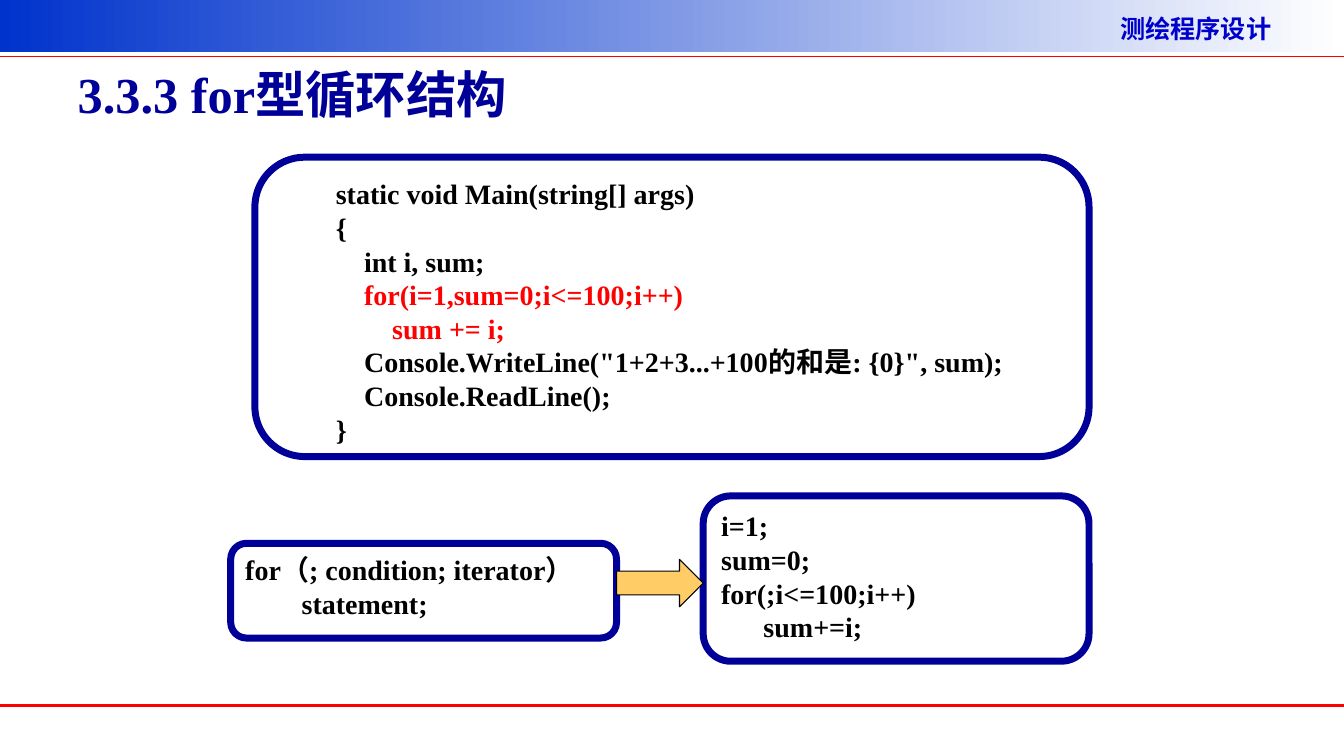
from dataclasses import dataclass

from lxml.etree import SubElement
from pptx import Presentation
from pptx.dml.color import RGBColor
from pptx.enum.shapes import MSO_CONNECTOR, MSO_SHAPE
from pptx.enum.text import MSO_ANCHOR, PP_ALIGN
from pptx.oxml.ns import qn
from pptx.util import Inches, Pt

LATIN_FONT = "Times New Roman"
ASIAN_FONT = "Noto Sans CJK SC"
NAVY, RED, BLACK = "000099", "FF0000", "000000"
SLIDE_WIDTH = 13.34
INDENT_STEP = 0.28


@dataclass(frozen=True)
class CodeLine:
    text: str
    indent: float = 0
    color: str = BLACK


@dataclass(frozen=True)
class CodeBox:
    left: float
    top: float
    width: float
    height: float
    lines: tuple[CodeLine, ...]


@dataclass(frozen=True)
class Rule:
    top: float
    weight: float


CODE_BOXES = (
    CodeBox(2.53, 1.56, 8.28, 2.97, (
        CodeLine("static void Main(string[] args)", 2),
        CodeLine("{", 2),
        CodeLine("int i, sum;", 3),
        CodeLine("for(i=1,sum=0;i<=100;i++)", 3, RED),
        CodeLine("sum += i;", 4, RED),
        CodeLine('Console.WriteLine("1+2+3...+100的和是: {0}", sum);', 3),
        CodeLine("Console.ReadLine();", 3),
        CodeLine("}", 2),
    )),
    CodeBox(2.29, 5.39, 3.83, 0.94, (
        CodeLine("for（; condition; iterator）"),
        CodeLine("statement;", 2),
    )),
    CodeBox(6.98, 4.92, 3.83, 1.64, (
        CodeLine("i=1;"),
        CodeLine("sum=0;"),
        CodeLine("for(;i<=100;i++)"),
        CodeLine("sum+=i;", 1.5),
    )),
)
RULES = (Rule(0.56, 1), Rule(7, 2.25))


def rgb(color: str) -> RGBColor:
    return RGBColor.from_string(color)


def write_paragraph(para, text: str, size: float, color: str, latin: str = LATIN_FONT) -> None:
    para.text = text
    para.alignment = PP_ALIGN.LEFT
    font = para.font
    font.name, font.size, font.bold = latin, Pt(size), True
    font.color.rgb = rgb(color)
    defaults = para._p.get_or_add_pPr().find(qn("a:defRPr"))
    SubElement(defaults, qn("a:ea")).set("typeface", ASIAN_FONT)


def add_header(slide) -> None:
    band = slide.shapes.add_shape(
        MSO_SHAPE.RECTANGLE, 0, 0, Inches(SLIDE_WIDTH), Inches(0.52))
    band.shadow.inherit = False
    band.line.fill.background()
    band.fill.gradient()
    band.fill.gradient_angle = 0
    for stop, color in zip(band.fill.gradient_stops, ("0033CC", "FFFFFF")):
        stop.color.rgb = rgb(color)

    label = slide.shapes.add_textbox(
        Inches(11.02), Inches(0.08), Inches(2.3), Inches(0.4))
    label.text_frame.word_wrap = True
    write_paragraph(label.text_frame.paragraphs[0], "测绘程序设计", 18, "0000CC", ASIAN_FONT)


def add_rule(slide, rule: Rule) -> None:
    """Draw a red line across the whole slide."""
    line = slide.shapes.add_connector(
        MSO_CONNECTOR.STRAIGHT, 0, Inches(rule.top), Inches(SLIDE_WIDTH), Inches(rule.top))
    line.line.color.rgb = rgb(RED)
    line.line.width = Pt(rule.weight)
    SubElement(line._element.spPr, qn("a:effectLst"))


def set_title(slide, text: str) -> None:
    title = slide.shapes.title
    title.left, title.top = Inches(0.67), Inches(0.3)
    title.width, title.height = Inches(12), Inches(1.25)
    title.text_frame.vertical_anchor = MSO_ANCHOR.MIDDLE
    write_paragraph(title.text_frame.paragraphs[0], text, 36, NAVY)


def add_code_box(slide, box: CodeBox) -> None:
    shape = slide.shapes.add_shape(
        MSO_SHAPE.ROUNDED_RECTANGLE, Inches(box.left), Inches(box.top),
        Inches(box.width), Inches(box.height))
    shape.shadow.inherit = False
    shape.fill.background()
    shape.line.color.rgb = rgb(NAVY)
    shape.line.width = Pt(5)
    frame = shape.text_frame
    frame.word_wrap = True
    frame.vertical_anchor = MSO_ANCHOR.TOP
    for index, line in enumerate(box.lines):
        para = frame.add_paragraph() if index else frame.paragraphs[0]
        write_paragraph(para, line.text, 20, line.color)
        para.line_spacing = Pt(24)
        para._p.get_or_add_pPr().set("marL", str(Inches(line.indent * INDENT_STEP)))


def add_arrow(slide) -> None:
    arrow = slide.shapes.add_shape(
        MSO_SHAPE.RIGHT_ARROW, Inches(6.12), Inches(5.55), Inches(0.86), Inches(0.47))
    arrow.shadow.inherit = False
    arrow.fill.solid()
    arrow.fill.fore_color.rgb = rgb("FFCC66")
    arrow.line.color.rgb = rgb(BLACK)
    arrow.line.width = Pt(0.75)


def main() -> None:
    deck = Presentation()
    deck.slide_width, deck.slide_height = Inches(SLIDE_WIDTH), Inches(7.5)
    slide = deck.slides.add_slide(deck.slide_layouts.get_by_name("Title Only"))
    add_header(slide)
    for rule in RULES:
        add_rule(slide, rule)
    set_title(slide, "3.3.3 for型循环结构")
    for box in CODE_BOXES:
        add_code_box(slide, box)
    add_arrow(slide)
    deck.save("out.pptx")


if __name__ == "__main__":
    main()
